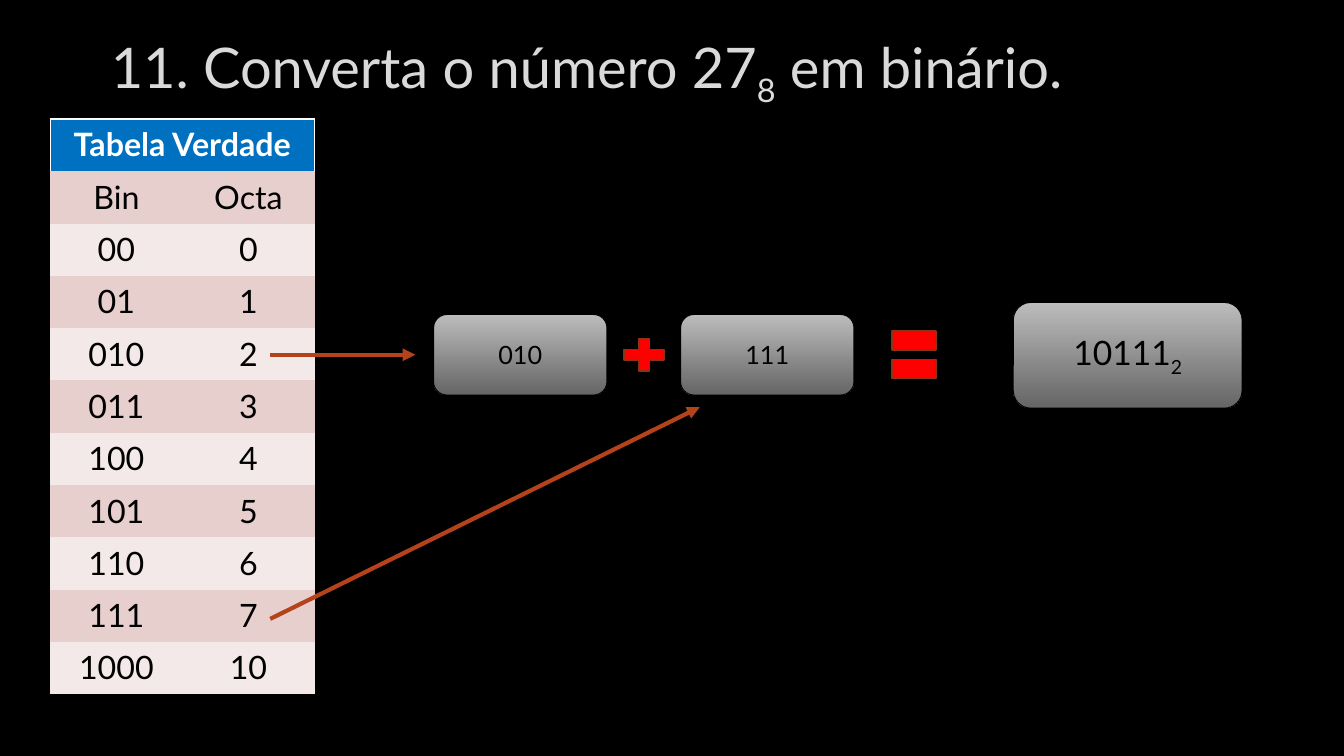
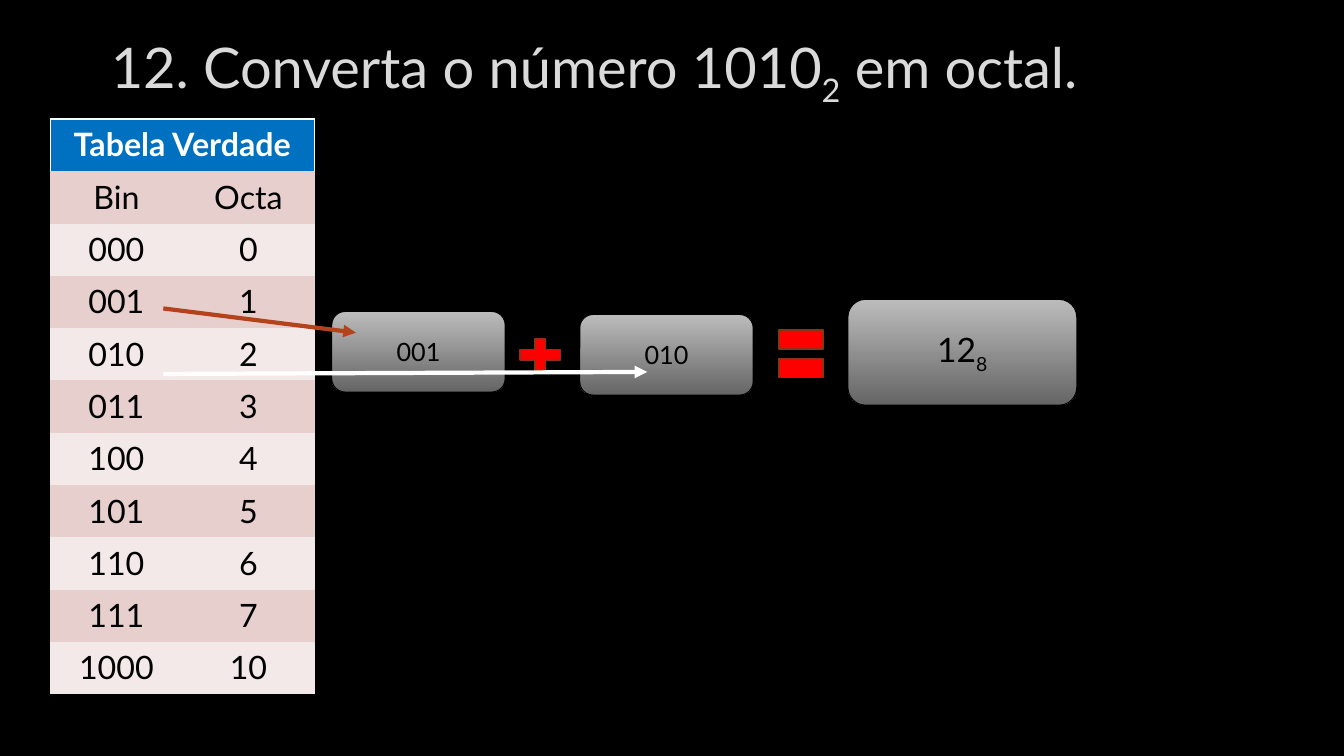
"""Builds two slides that convert numbers between octal and binary with a lookup table."""
import lxml.etree
import pptx
import pptx.dml.color
import pptx.enum.shapes
import pptx.enum.text
import pptx.oxml.ns
import pptx.util

WIDTH, HEIGHT = 13.33, 7.5
FONT = "Lato"
COLORS = {
    "background": "000000", "title": "DADADA", "ink": "000000", "white": "FFFFFF",
    "header": "0070C0", "band_dark": "E7CFCD", "band_light": "F3E9E8",
    "sign": "FF0000", "sign_line": "8B3314", "arrow": "B4421A",
    "box_top": "BCBCBC", "box_bottom": "656565",
}
TITLE_BOX = (1, 0.15, 11.32, 1.1)
TABLE_BOX = (0.5, 1.18, 2.62, 5.71)
CELL_MARGINS = {"margin_left": 0.13, "margin_right": 0.13, "margin_top": 0.06, "margin_bottom": 0.06}
SHAPE = pptx.enum.shapes.MSO_SHAPE
KINDS = {
    "group": {"shape": SHAPE.ROUNDED_RECTANGLE, "size": (1.72, 0.8), "font": 18},
    "result": {"shape": SHAPE.ROUNDED_RECTANGLE, "size": (2.27, 1.05), "font": 24},
    "plus": {"shape": SHAPE.MATH_PLUS, "size": (0.54, 0.44)},
    "equal": {"shape": SHAPE.MATH_EQUAL, "size": (0.59, 0.8)},
}
HEADER = "Tabela Verdade"
CODES = [("010", "2"), ("011", "3"), ("100", "4"), ("101", "5"),
         ("110", "6"), ("111", "7"), ("1000", "10")]
SLIDES = [
    {
        "title": ("11. Converta o número 27", "8", " em binário."),
        "rows": [("Bin", "Octa"), ("00", "0"), ("01", "1")] + CODES,
        "parts": [
            ("equal", (8.77, 3.12), ()), ("result", (10.05, 3), ("10111", "2")),
            ("group", (4.3, 3.12), ("010",)), ("group", (6.75, 3.12), ("111",)),
            ("plus", (6.12, 3.3), ()),
        ],
        "arrows": [((2.68, 3.52), (4.12, 3.52), "arrow"), ((2.68, 6.14), (6.94, 4.04), "arrow")],
    },
    {
        "title": ("12. Converta o número 1010", "2", " em octal."),
        "rows": [("Bin", "Octa"), ("000", "0"), ("001", "1")] + CODES,
        "parts": [
            ("equal", (7.65, 3.11), ()), ("result", (8.41, 2.97), ("12", "8")),
            ("group", (3.29, 3.09), ("001",)), ("group", (5.75, 3.12), ("010",)),
            ("plus", (5.09, 3.3), ()),
        ],
        "arrows": [((1.62, 3.06), (3.53, 3.3), "arrow"), ((1.62, 3.71), (6.42, 3.69), "white")],
    },
]


def rgb(name):
    """Return the named colour."""
    return pptx.dml.color.RGBColor.from_string(COLORS[name])


def inches(values):
    """Convert lengths in inches."""
    return [pptx.util.Inches(v) for v in values]


def add_xml(parent, tag, **attributes):
    """Append one drawing element."""
    return lxml.etree.SubElement(parent, pptx.oxml.ns.qn(tag), attributes)


def write(tf, texts, size, color, centered=True, bold=False):
    """Write runs into a frame, every second one as a subscript."""
    p = tf.paragraphs[0]
    if centered:
        p.alignment = pptx.enum.text.PP_ALIGN.CENTER
    for i, text in enumerate(texts):
        r = p.add_run()
        r.text = text
        for key, value in {"name": FONT, "size": pptx.util.Pt(size), "bold": bold}.items():
            setattr(r.font, key, value)
        r.font.color.rgb = rgb(color)
        if i % 2:
            r._r.get_or_add_rPr().set("baseline", "-25000")


def paint(cell, color):
    """Fill a table cell."""
    cell.fill.solid()
    cell.fill.fore_color.rgb = rgb(color)


def add_border(cell, sides):
    """Draw white lines on the given sides of a cell."""
    for side in sides:
        ln = add_xml(cell._tc.get_or_add_tcPr(), "a:ln" + side, w=str(pptx.util.Pt(1)))
        add_xml(add_xml(ln, "a:solidFill"), "a:srgbClr", val=COLORS["white"])


def add_title(s, texts):
    """Add the slide title."""
    tf = s.shapes.add_textbox(*inches(TITLE_BOX)).text_frame
    tf.word_wrap = True
    tf.vertical_anchor = pptx.enum.text.MSO_ANCHOR.MIDDLE
    write(tf, texts, 40, "title", centered=False)


def add_lookup(s, rows):
    """Add the lookup table with its merged header."""
    count = len(rows) + 1
    table = s.shapes.add_table(count, 2, *inches(TABLE_BOX)).table
    table.first_row = table.horz_banding = False
    style = table._tbl.tblPr.find(pptx.oxml.ns.qn("a:tableStyleId"))
    style.text = "{2D5ABB26-0587-4C30-8999-92F81FD0307C}"
    for row in table.rows:
        row.height = pptx.util.Inches(TABLE_BOX[3] / count)
    head = table.cell(0, 0)
    head.merge(table.cell(0, 1))
    add_border(head, "LRT")
    add_border(table.cell(0, 1), "RT")
    for i, texts in enumerate([(HEADER, "")] + rows):
        for j, text in enumerate(texts):
            cell = table.cell(i, j)
            for key, value in CELL_MARGINS.items():
                setattr(cell, key, pptx.util.Inches(value))
            paint(cell, "band_dark" if i % 2 else "band_light" if i else "header")
            if text:
                write(cell.text_frame, [text], 23, "ink" if i else "white", bold=i == 0)


def add_part(s, kind, place, texts):
    """Add a number box or an operator sign."""
    look = KINDS[kind]
    sp = s.shapes.add_shape(look["shape"], *inches(place + look["size"]))
    sp.shadow.inherit = False
    if texts:
        sp.fill.gradient()
        sp.fill.gradient_angle = 270
        for stop, color in zip(sp.fill.gradient_stops, ("box_top", "box_bottom")):
            stop.color.rgb = rgb(color)
        sp.text_frame.vertical_anchor = pptx.enum.text.MSO_ANCHOR.MIDDLE
        write(sp.text_frame, texts, look["font"], "ink")
    else:
        sp.fill.solid()
        sp.fill.fore_color.rgb = rgb("sign")
    sp.line.color.rgb = rgb("ink" if texts else "sign_line")
    sp.line.width = pptx.util.Pt(0.75 if texts else 1.25)


def add_arrow(s, start, end, color):
    """Add an arrow from the table to a number box."""
    line = s.shapes.add_connector(pptx.enum.shapes.MSO_CONNECTOR.STRAIGHT, *inches(start + end))
    line.line.color.rgb = rgb(color)
    line.line.width = pptx.util.Pt(3)
    add_xml(line.line._get_or_add_ln(), "a:tailEnd", type="triangle")
    add_xml(line._element.spPr, "a:effectLst")


def main():
    """Build and save the presentation."""
    prs = pptx.Presentation()
    prs.slide_width, prs.slide_height = inches((WIDTH, HEIGHT))
    backdrop = prs.slide_master.background.fill
    backdrop.solid()
    backdrop.fore_color.rgb = rgb("background")
    for content in SLIDES:
        s = prs.slides.add_slide(prs.slide_layouts[6])
        add_title(s, content["title"])
        add_lookup(s, content["rows"])
        for part in content["parts"]:
            add_part(s, *part)
        for arrow in content["arrows"]:
            add_arrow(s, *arrow)
    prs.save("out.pptx")


if __name__ == "__main__":
    main()
